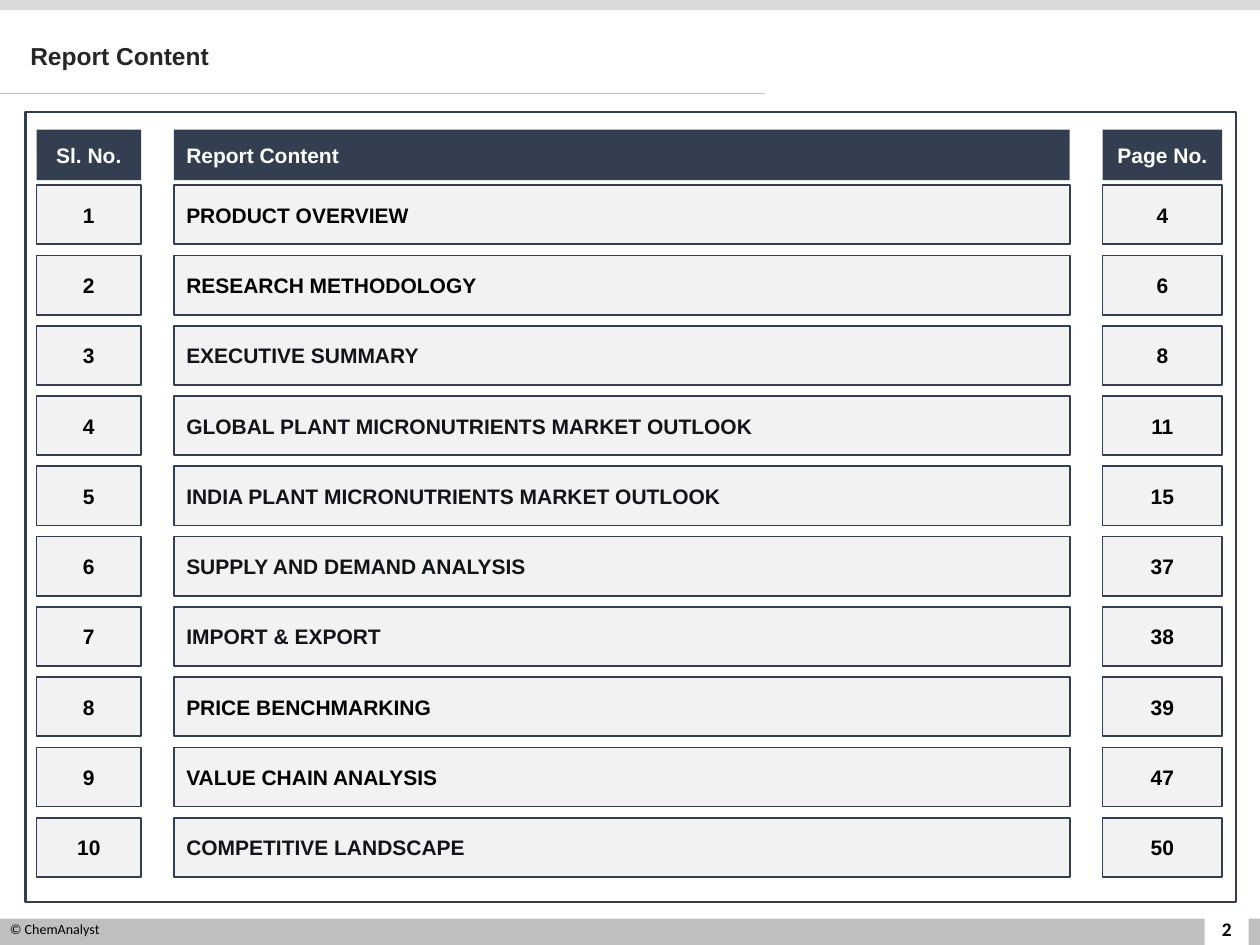
from pptx import Presentation
from pptx.dml.color import RGBColor
from pptx.enum.shapes import MSO_CONNECTOR, MSO_SHAPE
from pptx.enum.text import MSO_ANCHOR, PP_ALIGN
from pptx.oxml.ns import qn
from pptx.util import Inches, Pt

NAVY = RGBColor(0x33, 0x3F, 0x50)
CELL_GRAY = RGBColor(0xF2, 0xF2, 0xF2)
TOP_GRAY = RGBColor(0xD9, 0xD9, 0xD9)
FOOTER_GRAY = RGBColor(0xBF, 0xBF, 0xBF)
TITLE_GRAY = RGBColor(0x26, 0x26, 0x26)
INK = RGBColor(0x11, 0x15, 0x1A)
BLACK = RGBColor(0, 0, 0)
WHITE = RGBColor(0xFF, 0xFF, 0xFF)

HEADINGS = ("Sl. No.", "Report Content", "Page No.")
CONTENTS = [
    ("PRODUCT OVERVIEW", 4, BLACK),
    ("RESEARCH METHODOLOGY", 6, BLACK),
    ("EXECUTIVE SUMMARY", 8, INK),
    ("GLOBAL PLANT MICRONUTRIENTS MARKET OUTLOOK", 11, INK),
    ("INDIA PLANT MICRONUTRIENTS MARKET OUTLOOK", 15, INK),
    ("SUPPLY AND DEMAND ANALYSIS", 37, INK),
    ("IMPORT & EXPORT", 38, INK),
    ("PRICE BENCHMARKING", 39, BLACK),
    ("VALUE CHAIN ANALYSIS", 47, BLACK),
    ("COMPETITIVE LANDSCAPE", 50, INK),
]

# Left edge from the frame, width and alignment of each column
COLUMNS = [
    (Inches(0.09), Inches(0.83), PP_ALIGN.CENTER),
    (Inches(1.18), Inches(7.11), PP_ALIGN.LEFT),
    (Inches(8.55), Inches(0.95), PP_ALIGN.CENTER),
]


def write(shape, text, size, color, font_name="Arial", bold=True,
          align=PP_ALIGN.LEFT, anchor=MSO_ANCHOR.MIDDLE):
    """Put one formatted run into the shape and return its paragraph."""
    frame = shape.text_frame
    frame.word_wrap = True
    frame.vertical_anchor = anchor
    paragraph = frame.paragraphs[0]
    paragraph.alignment = align
    run = paragraph.add_run()
    run.text = text
    run.font.name = font_name
    run.font.size = Pt(size)
    run.font.bold = bold
    run.font.color.rgb = color
    return paragraph


def add_rectangle(slide, box, fill=None, line=None, line_width=1):
    shape = slide.shapes.add_shape(MSO_SHAPE.RECTANGLE, *box)
    shape.shadow.inherit = False
    if fill is None:
        shape.fill.background()
    else:
        shape.fill.solid()
        shape.fill.fore_color.rgb = fill
    if line is None:
        shape.line.fill.background()
    else:
        shape.line.color.rgb = line
        shape.line.width = Pt(line_width)
    return shape


def add_header(slide, left, top, width, height):
    """Top band, title and the thin rule below it."""
    add_rectangle(slide, (left, top, width, Inches(0.08)), TOP_GRAY)

    title = slide.shapes.title
    title.left, title.top = left + Inches(0.14), top + Inches(0.21)
    title.width, title.height = Inches(8.6), Inches(0.5)
    write(title, "Report Content", 14, TITLE_GRAY).line_spacing = 0.9

    bottom = top + height
    rule = slide.shapes.add_connector(
        MSO_CONNECTOR.STRAIGHT, left, bottom, left + Inches(6.07), bottom)
    rule.line.color.rgb = FOOTER_GRAY
    rule.line.width = Pt(0.5)
    properties = rule._element.spPr
    properties.append(properties.makeelement(qn("a:effectLst"), {}))


def add_footer(slide, left, top, width, height):
    """Bottom band with the copyright line and the page number."""
    add_rectangle(slide, (left, top, width, height), FOOTER_GRAY)
    add_rectangle(slide, (left + Inches(9.56), top - Inches(0.16),
                          Inches(0.35), Inches(0.38)), WHITE)
    number = slide.shapes.add_textbox(
        left + Inches(9.49), top - Inches(0.12), Inches(0.49), Inches(0.4))
    write(number, "2", 11, BLACK, "Calibri", align=PP_ALIGN.CENTER)
    copyright_line = slide.shapes.add_textbox(
        left - Inches(0.02), top - Inches(0.03), Inches(2.06), Inches(0.37))
    write(copyright_line, "© ChemAnalyst", 8, BLACK, "Calibri", bold=False,
          anchor=MSO_ANCHOR.TOP)


def add_row(slide, left, top, height, texts, colors, fill, line=None):
    """One line of the contents list, a box for each column."""
    for (offset, width, align), text, color in zip(COLUMNS, texts, colors):
        cell = add_rectangle(slide, (left + offset, top, width, height), fill, line)
        write(cell, text, 12, color, align=align)


def add_contents(slide, left, top, width, height):
    """Outer frame, heading row and evenly spaced content rows."""
    add_rectangle(slide, (left, top, width, height), line=NAVY, line_width=1.5)
    add_row(slide, left, top + Inches(0.14), Inches(0.4), HEADINGS,
            [WHITE] * 3, NAVY)

    first_top = top + Inches(0.58)
    row_height = Inches(0.47)
    last_top = top + height - Inches(0.2) - row_height
    pitch = (last_top - first_top) // (len(CONTENTS) - 1)
    for index, (name, page, color) in enumerate(CONTENTS):
        add_row(slide, left, first_top + index * pitch, row_height,
                (str(index + 1), name, str(page)), (BLACK, color, BLACK),
                CELL_GRAY, NAVY)


def main():
    presentation = Presentation()
    presentation.slide_width = Inches(10)
    presentation.slide_height = Inches(7.5)
    title_only = presentation.slide_layouts[5]
    slide = presentation.slides.add_slide(title_only)

    add_footer(slide, Inches(0), Inches(7.29), Inches(10), Inches(0.21))
    add_header(slide, Inches(0), Inches(0), Inches(10), Inches(0.74))
    add_contents(slide, Inches(0.2), Inches(0.89), Inches(9.61), Inches(6.27))
    presentation.save("out.pptx")


if __name__ == "__main__":
    main()
